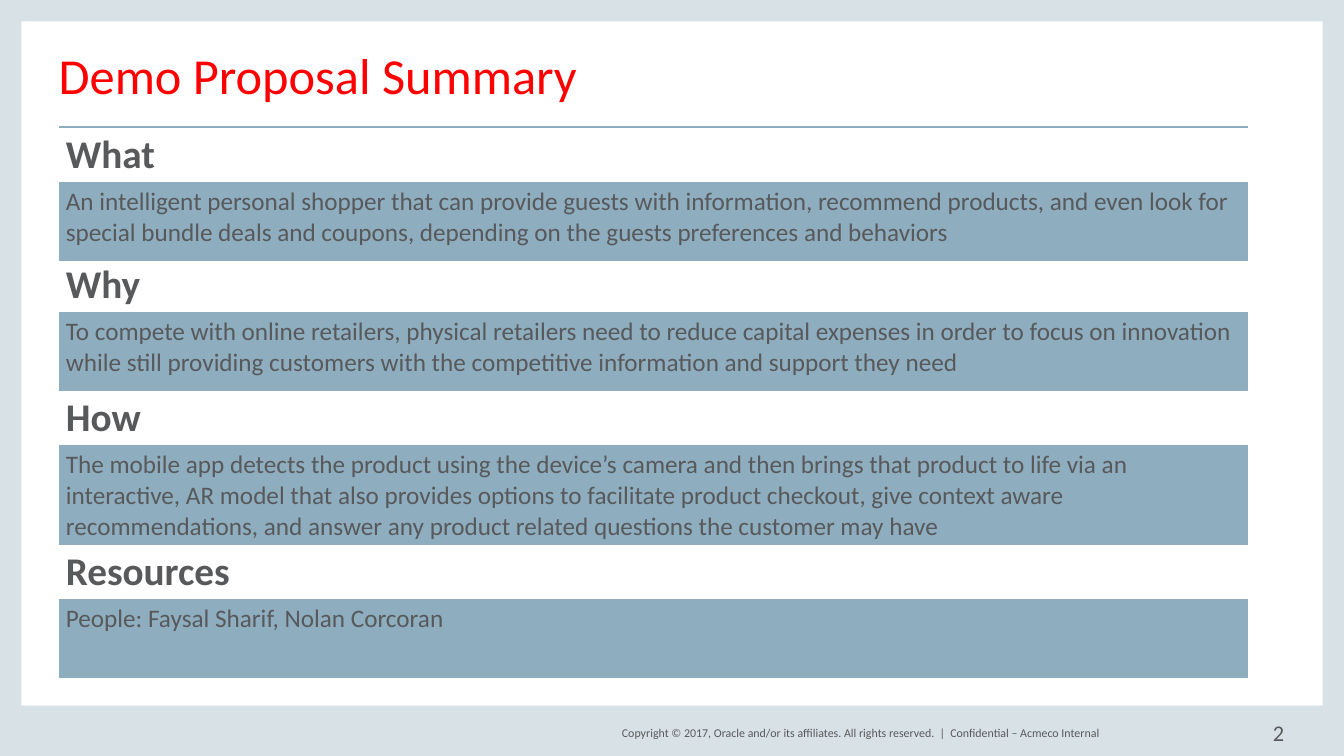
"""Build the demo proposal summary slide."""
from lxml import etree
from pptx import Presentation
from pptx import util as u
from pptx.dml.color import RGBColor
from pptx.enum import shapes, text
from pptx.oxml import ns

TITLE = "Demo Proposal Summary"
PARTS = [
    ("What", 3.2, "An intelligent personal shopper that can provide guests with "
     "information, recommend products, and even look for special bundle deals and "
     "coupons, depending on the guests preferences and behaviors"),
    ("Why", 6.48, "To compete with online retailers, physical retailers need to reduce "
     "capital expenses in order to focus on innovation while still providing customers "
     "with the competitive information and support they need"),
    ("How", 9.83, "The mobile app detects the product using the device’s camera and then "
     "brings that product to life via an interactive, AR model that also provides options "
     "to facilitate product checkout, give context aware recommendations, and answer any "
     "product related questions the customer may have"),
    ("Resources", 13.72, "People: Faysal Sharif, Nolan Corcoran"),
]
RIGHT, LEFT = text.PP_ALIGN.RIGHT, text.PP_ALIGN.LEFT
FOOT = [
    ("Copyright © 2017, Oracle and/or its affiliates. All rights reserved.\u00a0 |".replace("\u00a0", " "),
     14.94, 8.89, 8.5, RIGHT),
    ("Confidential – Acmeco Internal", 23.95, 7.5, 8.5, LEFT),
    ("2", 31.45, 0.91, 16, RIGHT),
]
WIDE, HIGH, EDGE, BASE = 33.87, 19.05, 0.54, 1.27
FRAME = [
    (0, 0, EDGE, HIGH),
    (WIDE - EDGE, 0, EDGE, HIGH),
    (0, HIGH - BASE, WIDE, BASE),
    (0, 0, WIDE, EDGE),
]
COLS, ROWS = (9.44, 20.54), (1.4, 1.96)
MARGIN = 1.48
PALE = RGBColor(0xD8, 0xE1, 0xE6)
GREY = RGBColor(0x58, 0x59, 0x5B)
RED = RGBColor(0xFF, 0x00, 0x00)
BLUE = RGBColor(0x8E, 0xAD, 0xBF)
PLAIN = "{2D5ABB26-0587-4C30-8999-92F81FD0307C}"


def write(frame, words, size, color=GREY, bold=False, align=LEFT, lead=None):
    """Put one formatted paragraph in a text frame."""
    para = frame.paragraphs[0]
    para.text = words
    para.alignment = align
    para.line_spacing = lead
    font = para.font
    font.name, font.size, font.bold = "Calibri", u.Pt(size), bold
    font.color.rgb = color


def bare(frame, anchor):
    """Remove the insets of a text frame and anchor it."""
    frame.margin_left = frame.margin_right = 0
    frame.margin_top = frame.margin_bottom = 0
    frame.word_wrap = True
    frame.vertical_anchor = anchor


def rule(cell, sides):
    """Draw thin blue lines on the named sides of a cell."""
    props = cell._tc.get_or_add_tcPr()
    for spot, side in enumerate(sides):
        line = etree.Element(ns.qn("a:ln" + side), w=str(u.Pt(1)))
        fill = etree.SubElement(line, ns.qn("a:solidFill"))
        etree.SubElement(fill, ns.qn("a:srgbClr"), val=str(BLUE))
        props.insert(spot, line)


def tint(cell):
    """Fill a cell with blue at one fifth strength."""
    cell.fill.solid()
    cell.fill.fore_color.rgb = BLUE
    color = cell._tc.tcPr.find(".//" + ns.qn("a:srgbClr"))
    etree.SubElement(color, ns.qn("a:alpha"), val="20000")


def panel(slide, head, top, body):
    """Add one heading and body table."""
    grid = slide.shapes.add_table(2, 2, u.Cm(MARGIN), u.Cm(top),
                                  u.Cm(sum(COLS)), u.Cm(sum(ROWS))).table
    grid.first_row = grid.horz_banding = False
    grid._tbl.tblPr.find(ns.qn("a:tableStyleId")).text = PLAIN
    for col, width in zip(grid.columns, COLS):
        col.width = u.Cm(width)
    for row, height in zip(grid.rows, ROWS):
        row.height = u.Cm(height)
    low = grid.cell(1, 0)
    low.merge(grid.cell(1, 1))
    for cell in grid.iter_cells():
        cell.margin_left = cell.margin_right = u.Cm(0.18)
        cell.margin_top = cell.margin_bottom = u.Cm(0.1)
        rule(cell, "TB")
    write(grid.cell(0, 0).text_frame, head, 28, bold=True)
    write(low.text_frame, body, 18)
    tint(low)


def main():
    """Build and save the slide."""
    deck = Presentation()
    deck.slide_width, deck.slide_height = u.Cm(WIDE), u.Cm(HIGH)
    slide = deck.slides.add_slide(deck.slide_layouts[5])
    for box in FRAME:
        bar = slide.shapes.add_shape(shapes.MSO_SHAPE.RECTANGLE, *map(u.Cm, box))
        bar.shadow.inherit = False
        bar.fill.solid()
        bar.fill.fore_color.rgb = PALE
        bar.line.fill.background()
    title = slide.shapes.title
    title.left, title.top = u.Cm(MARGIN), u.Cm(1.12)
    title.width, title.height = u.Cm(30.91), u.Cm(1.5)
    bare(title.text_frame, text.MSO_ANCHOR.BOTTOM)
    write(title.text_frame, TITLE, 36, color=RED, lead=0.8)
    for words, left, width, size, align in FOOT:
        note = slide.shapes.add_textbox(u.Cm(left), u.Cm(18.21), u.Cm(width), u.Cm(0.51))
        bare(note.text_frame, text.MSO_ANCHOR.MIDDLE)
        write(note.text_frame, words, size, align=align)
    for part in PARTS:
        panel(slide, *part)
    deck.save("out.pptx")


if __name__ == "__main__":
    main()
